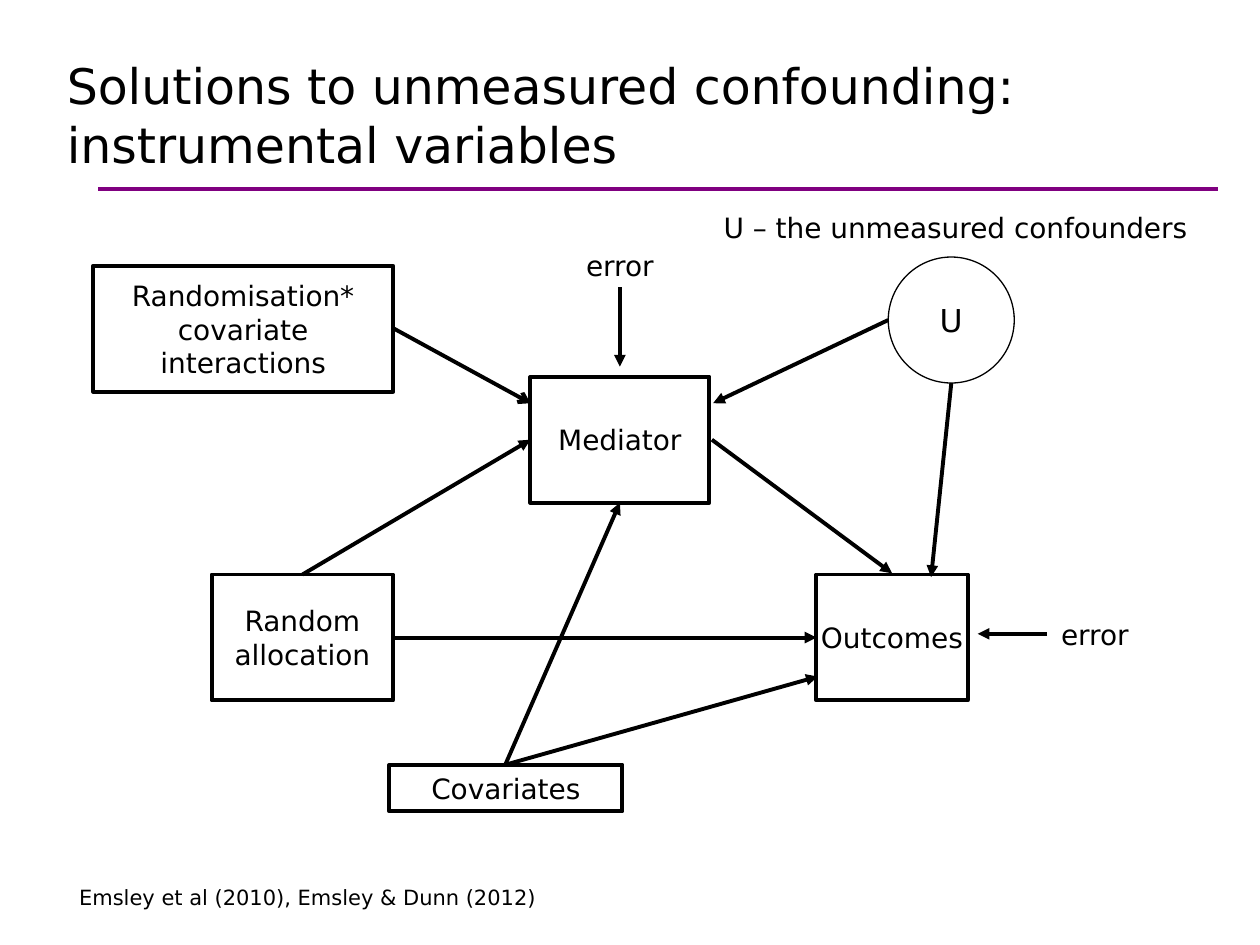
from dataclasses import dataclass

from lxml import etree
from pptx import Presentation
from pptx import util as u
from pptx.dml.color import RGBColor
from pptx.enum import shapes, text
from pptx.oxml.ns import qn

COLUMNS, ROWS = 100, 75
RECT, OVAL = shapes.MSO_SHAPE.RECTANGLE, shapes.MSO_SHAPE.OVAL
CENTER, LEFT = text.PP_ALIGN.CENTER, text.PP_ALIGN.LEFT
MIDDLE, TOP = text.MSO_ANCHOR.MIDDLE, text.MSO_ANCHOR.TOP


@dataclass(frozen=True)
class Theme:
    font: str = "DejaVu Sans"
    ink: RGBColor = RGBColor(0, 0, 0)
    rule: RGBColor = RGBColor(0x80, 0, 0x80)
    title: float = 28
    confounder: float = 18
    body: float = 16
    citation: float = 12
    heavy: float = 2.25
    medium: float = 1.75
    thin: float = 0.75


THEME = Theme()


@dataclass(frozen=True)
class Area:
    column: float
    row: float
    columns: float
    rows: float


@dataclass(frozen=True)
class Node:
    words: str
    area: Area
    outline: shapes.MSO_SHAPE = RECT
    size: float = THEME.body
    weight: float = THEME.heavy
    wrap: bool = False


@dataclass(frozen=True)
class Label:
    words: str
    area: Area
    size: float = THEME.body
    align: text.PP_ALIGN = CENTER
    wrap: bool = False


@dataclass(frozen=True)
class Path:
    start: tuple[float, float]
    end: tuple[float, float]
    head: str = "triangle"
    color: RGBColor = THEME.ink
    weight: float = THEME.heavy


TITLE = Label("Solutions to unmeasured confounding: instrumental variables",
              Area(4.3, 3.6, 92.1, 11), THEME.title, LEFT, True)
RULE = Path((7.8, 15), (96.7, 15), "none", THEME.rule, THEME.medium)

NODES = [
    Node("Random\nallocation", Area(16.8, 45.6, 14.4, 10)),
    Node("Mediator", Area(42.1, 29.9, 14.2, 10)),
    Node("Outcomes", Area(64.8, 45.6, 12, 10)),
    Node("U", Area(70.5, 20.4, 10, 10), OVAL, THEME.confounder, THEME.thin),
    Node("Covariates", Area(30.9, 60.7, 18.5, 3.7), wrap=True),
    Node("Randomisation*\vcovariate\vinteractions", Area(7.4, 21.1, 23.8, 10)),
]

LABELS = [
    Label("U – the unmeasured confounders", Area(56, 16.2, 39.7, 3.7)),
    Label("error", Area(45.4, 19.2, 7.6, 3.7)),
    Label("error", Area(83.1, 48.5, 7.6, 3.7)),
    Label("Emsley et al (2010), Emsley & Dunn (2012)",
          Area(5.3, 69.7, 88.3, 3), THEME.citation, LEFT, True),
]

PATHS = [
    Path((31.3, 50.6), (64.8, 50.6)),
    Path((24, 45.6), (42.1, 34.9)),
    Path((49.2, 22.8), (49.2, 29.1)),
    Path((56.5, 34.9), (70.8, 45.5)),
    Path((83.1, 50.3), (77.6, 50.3)),
    Path((70.5, 25.4), (56.6, 32)),
    Path((75.5, 30.4), (73.9, 45.8)),
    Path((40.1, 60.7), (49.2, 39.9)),
    Path((40.1, 60.7), (64.9, 53.7)),
    Path((31.3, 26.1), (42.1, 32), "arrow"),
]


@dataclass(frozen=True)
class Grid:
    width: int
    height: int

    def point(self, column: float, row: float) -> tuple[int, int]:
        return round(self.width * column / COLUMNS), round(self.height * row / ROWS)

    def box(self, area: Area) -> tuple[int, int, int, int]:
        return self.point(area.column, area.row) + self.point(area.columns, area.rows)


def apply(target, values: dict) -> None:
    for name, value in values.items():
        setattr(target, name, value)


def write(frame, words: str, size: float, align: text.PP_ALIGN,
          anchor: text.MSO_ANCHOR, wrap: bool) -> None:
    frame.text = words
    apply(frame, {"word_wrap": wrap, "vertical_anchor": anchor,
                  "auto_size": text.MSO_AUTO_SIZE.NONE})
    for paragraph in frame.paragraphs:
        paragraph.alignment = align
        for run in paragraph.runs:
            apply(run.font, {"name": THEME.font, "size": u.Pt(size)})
            run.font.color.rgb = THEME.ink


def draw_title(slide, grid: Grid, title: Label) -> None:
    heading = slide.shapes.title
    apply(heading, dict(zip(("left", "top", "width", "height"), grid.box(title.area))))
    write(heading.text_frame, title.words, title.size, title.align, MIDDLE, title.wrap)


def draw_node(slide, grid: Grid, node: Node) -> None:
    body = slide.shapes.add_shape(node.outline, *grid.box(node.area))
    body.shadow.inherit = False
    body.fill.background()
    body.line.color.rgb = THEME.ink
    body.line.width = u.Pt(node.weight)
    write(body.text_frame, node.words, node.size, CENTER, MIDDLE, node.wrap)


def draw_label(slide, grid: Grid, label: Label) -> None:
    caption = slide.shapes.add_textbox(*grid.box(label.area))
    write(caption.text_frame, label.words, label.size, label.align, TOP, label.wrap)


def draw_path(slide, grid: Grid, path: Path) -> None:
    link = slide.shapes.add_connector(
        shapes.MSO_CONNECTOR.STRAIGHT, *grid.point(*path.start), *grid.point(*path.end))
    link.line.color.rgb = path.color
    link.line.width = u.Pt(path.weight)
    etree.SubElement(link.line._get_or_add_ln(), qn("a:tailEnd"), type=path.head)
    etree.SubElement(link._element.spPr, qn("a:effectLst"))


def main() -> None:
    deck = Presentation()
    apply(deck, {"slide_width": u.Inches(10), "slide_height": u.Inches(7.5)})
    grid = Grid(deck.slide_width, deck.slide_height)
    slide = deck.slides.add_slide(deck.slide_layouts.get_by_name("Title Only"))
    draw_title(slide, grid, TITLE)
    for node in NODES:
        draw_node(slide, grid, node)
    for path in [RULE, *PATHS]:
        draw_path(slide, grid, path)
    for label in LABELS:
        draw_label(slide, grid, label)
    deck.save("out.pptx")


if __name__ == "__main__":
    main()
